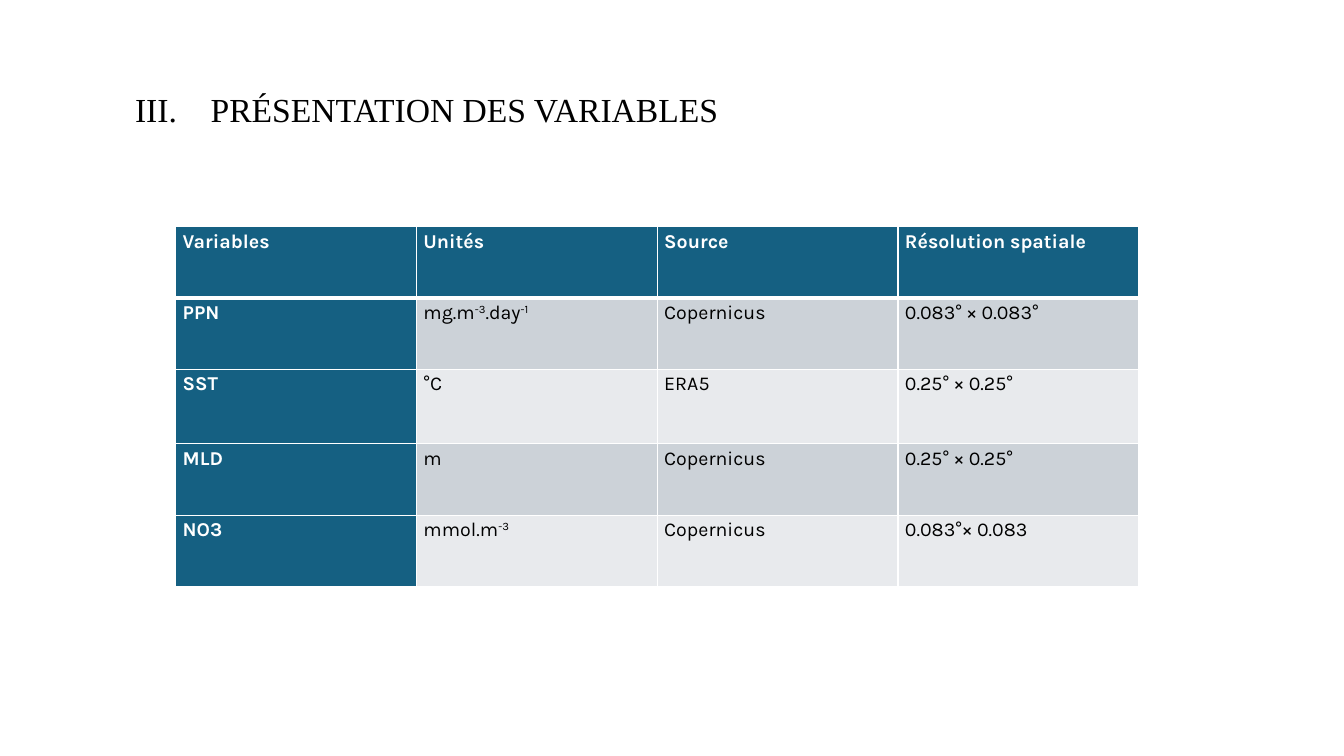
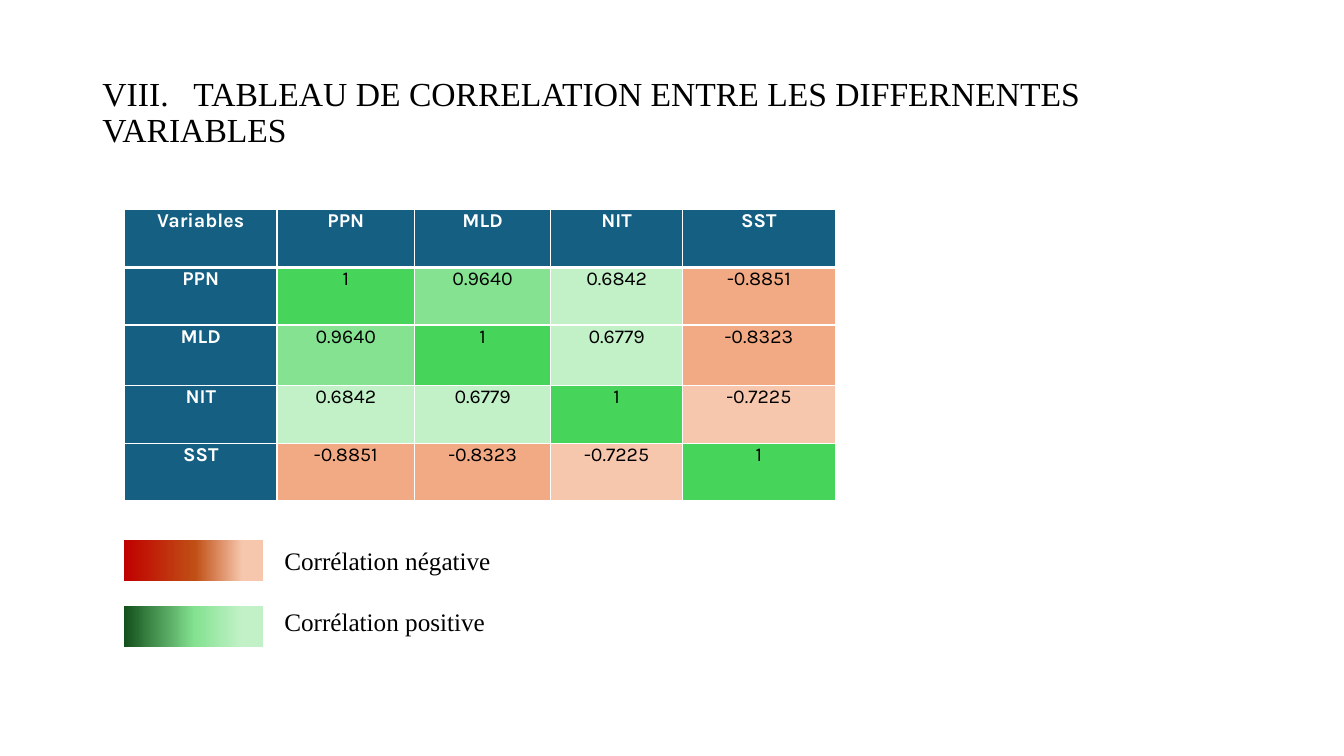
import pptx
import pptx.util
import pptx.dml.color
import pptx.enum.dml
import pptx.enum.shapes
import pptx.enum.text
import pptx.oxml
import pptx.oxml.ns
import lxml.etree

Pt = pptx.util.Pt
RGB = pptx.dml.color.RGBColor.from_string
qn = pptx.oxml.ns.qn
ALIGN = pptx.enum.text.PP_ALIGN

# Shared colours and formats
hues = {
    "ink": "000000", "white": "FFFFFF", "head": "156082",
    "odd": "CCD2D8", "even": "E8EAED",
    "full": "47D45A", "high": "84E291", "mild": "C2F1C8",
    "neg": "F2AA84", "pale": "F6C6AD",
    "pine": "13501B", "red": "C00000", "rust": "C04F15",
}
title_font = {"name": "Times New Roman", "size": Pt(24), "bold": False}
key_font = {"name": "Times New Roman", "size": Pt(18)}
cell_font = {"name": "Karla", "size": Pt(14)}
margins = {"margin_left": Pt(5), "margin_right": Pt(5),
           "margin_top": 0, "margin_bottom": 0}


def write(para, text, form, hue):
    """Add text to a paragraph; parts between ^ marks are superscript."""
    for i, part in enumerate(text.split("^")):
        if not part:
            continue
        run = para.add_run()
        run.text = part
        for name, value in form.items():
            setattr(run.font, name, value)
        run.font.color.rgb = RGB(hues[hue])
        if i % 2:
            run.font._element.set("baseline", "30000")


def add_grid(slide, left, top, widths, heights, rows, tint, look):
    """Add a table whose first row and column are headings."""
    frame = slide.shapes.add_table(len(rows), len(widths), Pt(left), Pt(top),
                                   Pt(sum(widths)), Pt(sum(heights)))
    table = frame.table
    table.first_col = True
    table.horz_banding = False
    for col, width in zip(table.columns, widths):
        col.width = Pt(width)
    for r, (row, height) in enumerate(zip(rows, heights)):
        table.rows[r].height = Pt(height)
        for c, text in enumerate(row):
            cell = table.cell(r, c)
            for name, value in margins.items():
                setattr(cell, name, value)
            head = r == 0 or c == 0
            cell.fill.solid()
            cell.fill.fore_color.rgb = RGB(hues["head" if head else tint(r, text)])
            para = cell.text_frame.paragraphs[0]
            for name, value in look.items():
                setattr(para, name, value)
            write(para, text, {**cell_font, "bold": head},
                  "white" if head else "ink")
            # White borders, thicker under the heading row
            thick = {"lnT": 3 if r == 1 else 1, "lnB": 3 if r == 0 else 1}
            props = cell._tc.get_or_add_tcPr()
            for i, side in enumerate(("lnL", "lnR", "lnT", "lnB")):
                line = lxml.etree.Element(qn("a:" + side), w=str(Pt(thick.get(side, 1))))
                fill = lxml.etree.SubElement(line, qn("a:solidFill"))
                lxml.etree.SubElement(fill, qn("a:srgbClr"), val=hues["white"])
                props.insert(i, line)


deck = pptx.Presentation()
deck.slide_width, deck.slide_height = Pt(960), Pt(540)

# Slides with their titles: number, text, left, top, tab
heads = [
    ("III.", "PRÉSENTATION DES VARIABLES", 89.3, 27.4, 54),
    ("VIII.", "TABLEAU DE CORRELATION ENTRE LES DIFFERNENTES VARIABLES",
     66, 28.8, 65),
]
slides = []
for number, text, left, top, stop in heads:
    slide = deck.slides.add_slide(deck.slide_layouts[5])
    slides.append(slide)
    title = slide.shapes.title
    title.left, title.top = Pt(left), Pt(top)
    title.width, title.height = Pt(828), Pt(104.4)
    frame = title.text_frame
    frame.auto_size = pptx.enum.text.MSO_AUTO_SIZE.NONE
    frame.vertical_anchor = pptx.enum.text.MSO_ANCHOR.MIDDLE
    para = frame.paragraphs[0]
    para.alignment = ALIGN.LEFT
    tabs = lxml.etree.SubElement(para._p.get_or_add_pPr(), qn("a:tabLst"))
    lxml.etree.SubElement(tabs, qn("a:tab"), pos=str(Pt(stop)), algn="l")
    para.line_spacing = 0.9
    write(para, number + "\t" + text, title_font, "ink")

# Slide 1: variables
facts = [
    ("Variables", "Unités", "Source", "Résolution spatiale"),
    ("PPN", "mg.m^-3^.day^-1^", "Copernicus", "0.083° × 0.083°"),
    ("SST", "°C", "ERA5", "0.25° × 0.25°"),
    ("MLD", "m", "Copernicus", "0.25° × 0.25°"),
    ("NO3", "mmol.m^-3^", "Copernicus", "0.083°× 0.083"),
]
add_grid(slides[0], 125.5, 162, [172] * 4, [51, 51, 53, 51, 51], facts,
         lambda r, text: "odd" if r % 2 else "even",
         {"line_spacing": 1.15, "space_after": Pt(8)})

# Slide 2: correlation table, tinted by value
scale = [(1, "full"), (0.9, "high"), (0, "mild"), (-0.8, "pale"), (-1, "neg")]
links = [
    ("Variables", "PPN", "MLD", "NIT", "SST"),
    ("PPN", "1", "0.9640", "0.6842", "-0.8851"),
    ("MLD", "0.9640", "1", "0.6779", "-0.8323"),
    ("NIT", "0.6842", "0.6779", "1", "-0.7225"),
    ("SST", "-0.8851", "-0.8323", "-0.7225", "1"),
]
add_grid(slides[1], 89, 149.8, [108.8, 98.5, 97, 94.5, 108.8],
         [41.2, 41.2, 43.2, 41.2, 41.2], links,
         lambda r, text: next(hue for low, hue in scale if float(text) >= low),
         {"alignment": ALIGN.CENTER})

# Legend: gradient bars and labels
shapes = slides[1].shapes
box = shapes.add_textbox(Pt(196), Pt(386), Pt(207), Pt(72))
box.text_frame.word_wrap = True
keys = [
    ("Corrélation négative", 386, ("red", "rust", "pale")),
    ("Corrélation positive", 433.2, ("pine", "high", "mild")),
]
for i, (text, top, blend) in enumerate(keys):
    bar = shapes.add_shape(pptx.enum.shapes.MSO_SHAPE.RECTANGLE,
                           Pt(88.6), Pt(top), Pt(99.4), Pt(29))
    bar.shadow.inherit = False
    bar.line.fill.background()
    bar.fill.gradient()
    bar.fill.gradient_angle = 0
    stops = bar._element.spPr.find(".//" + qn("a:gsLst"))
    for old in list(stops):
        stops.remove(old)
    for place, hue in zip((0, 51, 85), blend):
        mark = lxml.etree.SubElement(stops, qn("a:gs"), pos=str(place * 1000))
        lxml.etree.SubElement(mark, qn("a:srgbClr"), val=hues[hue])
    para = box.text_frame.add_paragraph() if i else box.text_frame.paragraphs[0]
    if i:
        para.space_before = Pt(22)
    write(para, text, key_font, "ink")

deck.save("out.pptx")
